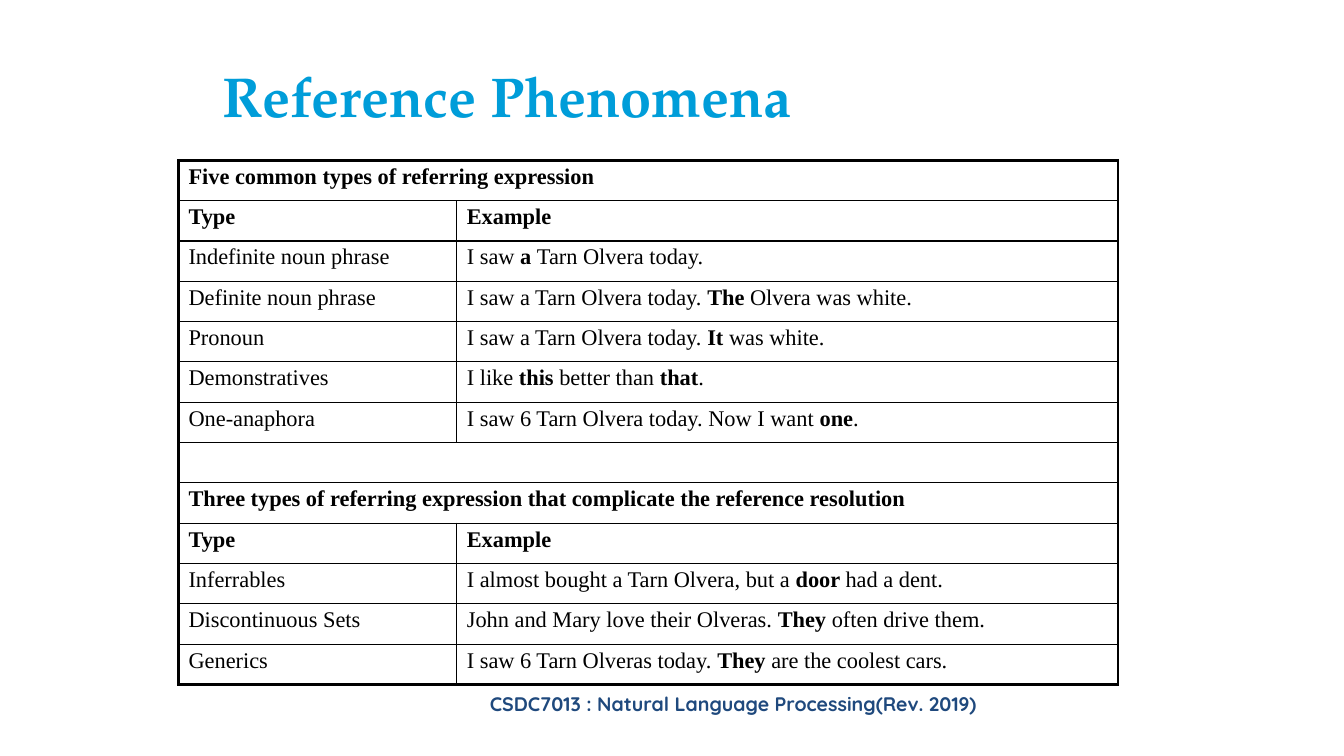
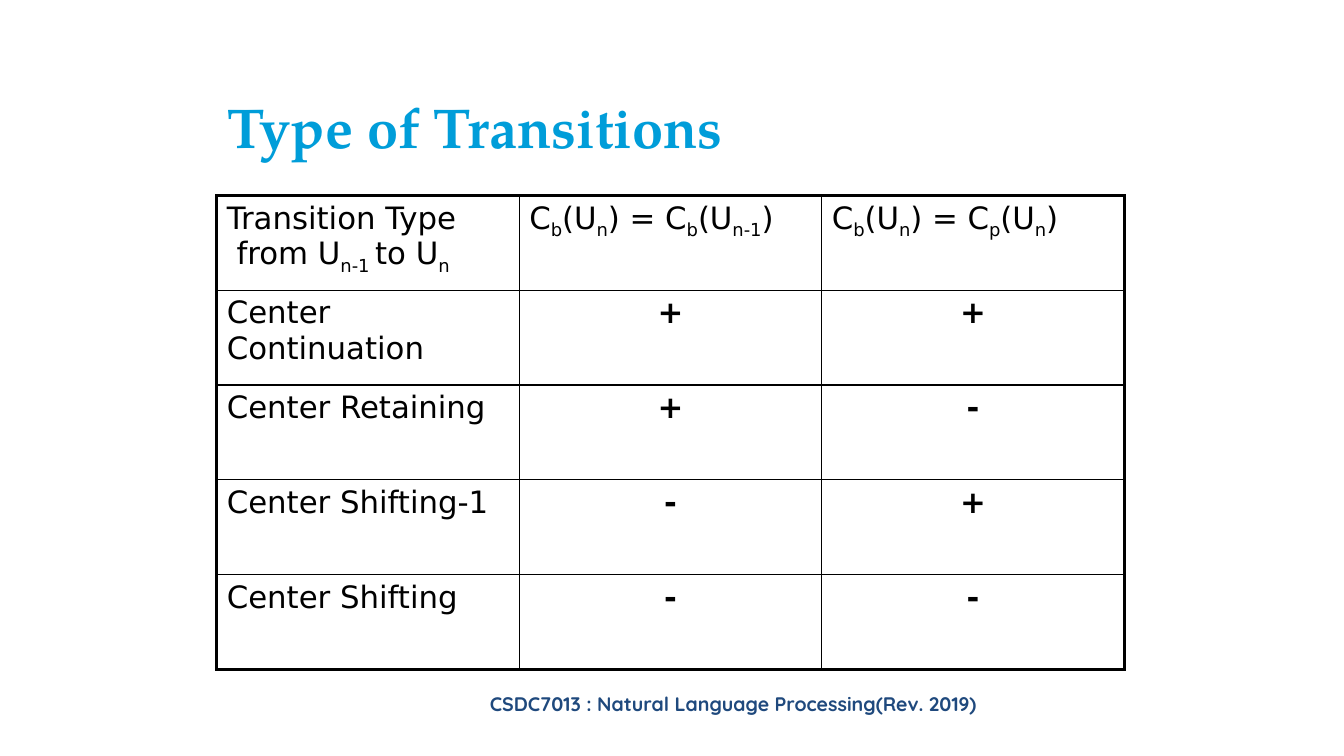
from pptx import Presentation
from pptx.dml.color import RGBColor
from pptx.enum.text import PP_ALIGN
from pptx.oxml import parse_xml
from pptx.oxml.ns import nsdecls
from pptx.util import Inches, Pt

LEFT, CENTER = PP_ALIGN.LEFT, PP_ALIGN.CENTER
BLACK = RGBColor(0x00, 0x00, 0x00)
SKY = RGBColor(0x00, 0x9D, 0xD9)
NAVY = RGBColor(0x1F, 0x49, 0x7D)
THICK, THIN = Pt(2.25), Pt(1)
FOOTER = "CSDC7013 : Natural Language Processing(Rev. 2019)"


def write(frame, text, font, size, color=BLACK, bold=False, align=LEFT, mark="bold"):
    """Write text; parts between bars become bold or subscript."""
    frame.word_wrap = True
    for i, line in enumerate(text.split("\n")):
        para = frame.add_paragraph() if i else frame.paragraphs[0]
        para.alignment = align
        for j, part in enumerate(line.split("|")):
            if not part:
                continue
            run = para.add_run()
            run.text = part
            marked = j % 2 == 1
            run.font.name = font
            run.font.size = Pt(size)
            run.font.color.rgb = color
            run.font.bold = bold or (marked and mark == "bold")
            if marked and mark == "sub":
                run.font._element.set("baseline", "-25000")


def border(cell, side, width):
    cell._tc.get_or_add_tcPr().append(parse_xml(
        f'<a:ln{side} {nsdecls("a")} w="{width}"><a:solidFill>'
        f'<a:srgbClr val="{BLACK}"/></a:solidFill></a:ln{side}>'))


# Slide content: a row with one entry spans the whole table
HEAD = ["|Type|", "|Example|"]
PHRASES = [
    ["|Five common types of referring expression|"],
    HEAD,
    ["Indefinite noun phrase", "I saw |a |Tarn Olvera today."],
    ["Definite noun phrase", "I saw a Tarn Olvera today. |The |Olvera was white."],
    ["Pronoun", "I saw a Tarn Olvera today. |It |was white."],
    ["Demonstratives", "I like |this |better than |that|."],
    ["One-anaphora", "I saw 6 Tarn Olvera today. Now I want |one|."],
    [""],
    ["|Three types of referring expression that complicate the reference resolution|"],
    HEAD,
    ["Inferrables", "I almost bought a Tarn Olvera, but a |door |had a dent."],
    ["Discontinuous Sets", "John and Mary love their Olveras. |They |often drive them."],
    ["Generics", "I saw 6 Tarn Olveras today. |They |are the coolest cars."],
]
MOVES = [
    ["Transition Type\n from U|n-1 |to U|n|",
     "C|b|(U|n|) = C|b|(U|n-1|)", "C|b|(U|n|) = C|p|(U|n|)"],
    ["Center\nContinuation", "+", "+"],
    ["Center Retaining", "+", "-"],
    ["Center Shifting-1", "-", "+"],
    ["Center Shifting", "-", "-"],
]
PAGES = [
    dict(title="Reference Phenomena", spot=(2.21, 0.6), rows=PHRASES,
         left=1.77, top=1.59, cols=[2.76, 6.56], high=0.4, inset=0.04,
         font="Times New Roman", size=16, mark="bold"),
    dict(title="Type of Transitions", spot=(2.26, 0.91), rows=MOVES,
         left=2.15, top=1.94, cols=[3, 3, 3], high=0.94, inset=0.05,
         font="DejaVu Sans", size=22, mark="sub"),
]

deck = Presentation()
deck.slide_width, deck.slide_height = Inches(13.33), Inches(7.5)

for page in PAGES:
    slide = deck.slides.add_slide(deck.slide_layouts[6])

    # Footer
    box = slide.shapes.add_textbox(Inches(2.15), Inches(6.76), Inches(10.25), Inches(0.59))
    frame = box.text_frame
    frame.margin_top = frame.margin_bottom = Inches(0.1)
    write(frame, FOOTER, "Quicksand", 14, color=NAVY, bold=True, align=CENTER)

    # Title
    x, y = page["spot"]
    box = slide.shapes.add_textbox(Inches(x), Inches(y), Inches(11), Inches(0.69))
    frame = box.text_frame
    frame.margin_left = frame.margin_right = frame.margin_bottom = 0
    frame.margin_top = Inches(0.01)
    write(frame, page["title"], "TeX Gyre Pagella", 40, color=SKY, bold=True)

    # Table
    rows, cols = page["rows"], page["cols"]
    table = slide.shapes.add_table(
        len(rows), len(cols), Inches(page["left"]), Inches(page["top"]),
        Inches(sum(cols)), Inches(page["high"] * len(rows))).table
    table.first_row = table.horz_banding = False
    for c, wide in enumerate(cols):
        table.columns[c].width = Inches(wide)
    for r, row in enumerate(rows):
        table.rows[r].height = Inches(page["high"])
        whole = len(row) == 1
        if whole:
            table.cell(r, 0).merge(table.cell(r, len(cols) - 1))
        for c in range(len(cols)):
            cell = table.cell(r, c)
            cell.margin_left = cell.margin_right = Inches(0.1)
            cell.margin_top, cell.margin_bottom = Inches(page["inset"]), 0
            edges = {"L": c == 0, "R": whole or c == len(cols) - 1,
                     "T": r == 0, "B": r == len(rows) - 1}
            for side, outer in edges.items():
                border(cell, side, THICK if outer else THIN)
            cell.fill.background()
            if c < len(row):
                sign = row[c] in ("+", "-")
                write(cell.text_frame, row[c], page["font"], page["size"], bold=sign,
                      align=CENTER if sign else LEFT, mark=page["mark"])

deck.save("out.pptx")
